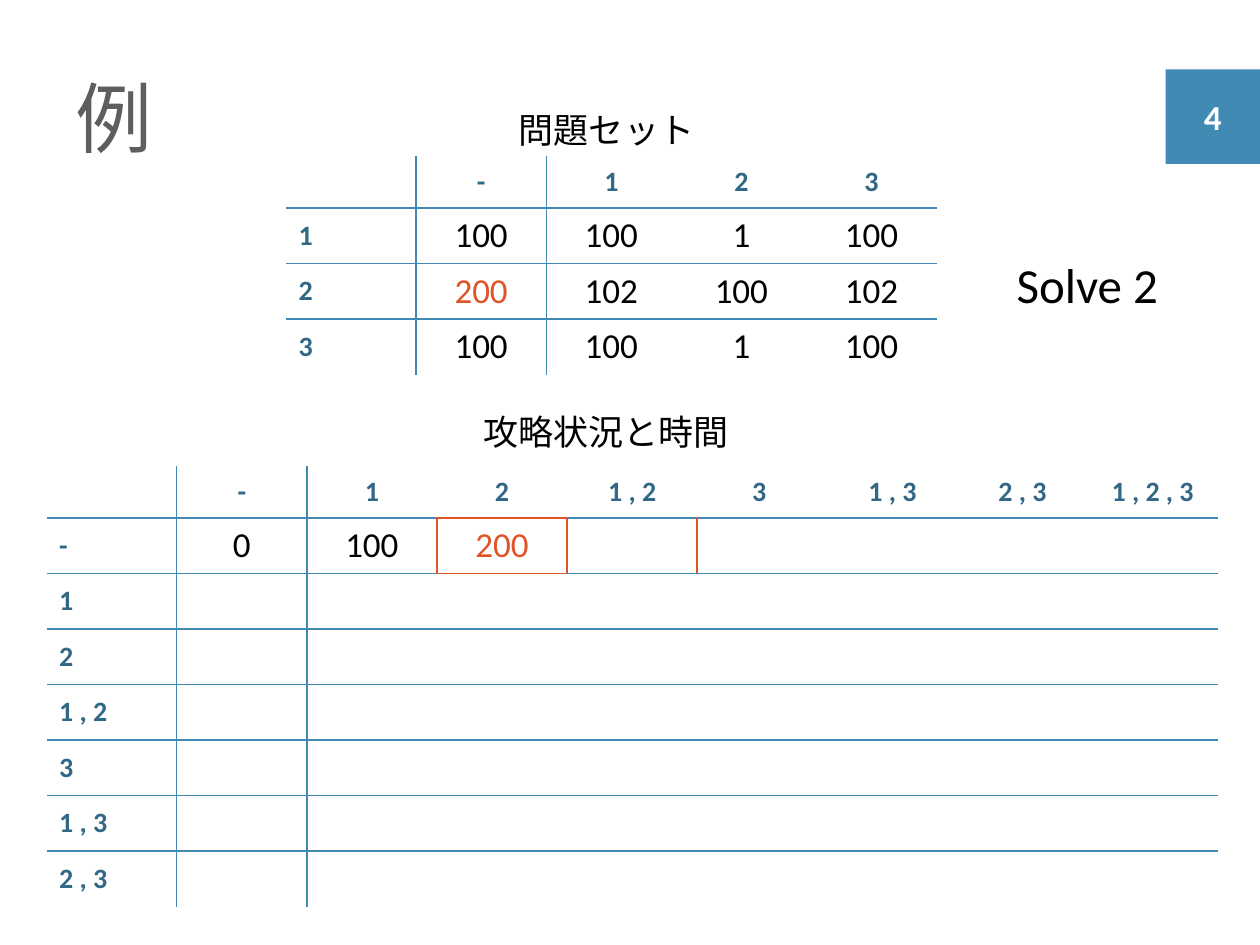
from dataclasses import dataclass

from lxml import etree
from pptx import Presentation
from pptx.dml.color import RGBColor
from pptx.enum.shapes import MSO_SHAPE
from pptx.enum.text import MSO_ANCHOR, MSO_AUTO_SIZE, PP_ALIGN
from pptx.oxml.ns import qn
from pptx.util import Inches, Pt

RECTANGLE = MSO_SHAPE.RECTANGLE
MIDDLE = MSO_ANCHOR.MIDDLE
LEFT, CENTER = PP_ALIGN.LEFT, PP_ALIGN.CENTER
GROW = MSO_AUTO_SIZE.SHAPE_TO_FIT_TEXT
PLAIN_TABLE_STYLE = "{2D5ABB26-0587-4C30-8999-92F81FD0307C}"


@dataclass(frozen=True)
class Theme:
    """Colours, type sizes and line width of the slide."""
    font: str = "Calibri"
    title: str = "5E5E5E"
    accent: str = "418AB3"
    label: str = "316886"
    text: str = "000000"
    highlight: str = "DF5327"
    white: str = "FFFFFF"
    title_size: int = 44
    note_size: int = 28
    body_size: int = 20
    label_size: int = 16
    rule_width: int = 1


THEME = Theme()
COLUMN_WIDTH = 1.033
HEADER_HEIGHT = 0.41
ROW_HEIGHT = 0.441


def write(frame, text, size, color, bold=False, align=LEFT):
    """Put one formatted paragraph into a text frame."""
    paragraph = frame.paragraphs[0]
    paragraph.text = text
    paragraph.alignment = align
    font = paragraph.font
    font.name, font.size, font.bold = THEME.font, Pt(size), bold
    font.color.rgb = RGBColor.from_string(color)
    return paragraph


def add_title(slide, left, top, width, height, text):
    """Move and format the title placeholder."""
    title = slide.shapes.title
    title.left, title.top = Inches(left), Inches(top)
    title.width, title.height = Inches(width), Inches(height)
    title.text_frame.vertical_anchor = MIDDLE
    paragraph = write(title.text_frame, text, THEME.title_size, THEME.title)
    paragraph.runs[0].font._element.set("spc", "-80")


def add_page_badge(slide, left, top, side, number):
    """Draw the square that carries the page number."""
    badge = slide.shapes.add_shape(
        RECTANGLE, Inches(left), Inches(top), Inches(side), Inches(side))
    badge.shadow.inherit = False
    badge.fill.solid()
    badge.fill.fore_color.rgb = RGBColor.from_string(THEME.accent)
    badge.line.fill.background()
    badge.text_frame.vertical_anchor = MIDDLE
    write(badge.text_frame, number, THEME.body_size, THEME.white, True, CENTER)


def add_caption(slide, left, top, width, height, text, size):
    """Add a one-line text box."""
    box = slide.shapes.add_textbox(
        Inches(left), Inches(top), Inches(width), Inches(height))
    box.text_frame.word_wrap = False
    box.text_frame.auto_size = GROW
    write(box.text_frame, text, size, THEME.text)


def draw_border(cell, tag, color):
    """Append one border line to a cell, or an empty one without a colour."""
    properties = cell._tc.get_or_add_tcPr()
    line = etree.SubElement(properties, qn(tag), w=str(Pt(THEME.rule_width)))
    if color is None:
        etree.SubElement(line, qn("a:noFill"))
        return
    fill = etree.SubElement(line, qn("a:solidFill"))
    etree.SubElement(fill, qn("a:srgbClr"), val=color)


def grid_edges(row_count, column_count, red_edges):
    """Map inner edges to colours: "h" lies above a cell, "v" left of it."""
    edges = {("h", r, c): THEME.accent
             for r in range(1, row_count) for c in range(column_count)}
    edges.update({("v", r, c): THEME.accent
                  for r in range(row_count) for c in (1, 2)})
    edges.update({edge: THEME.highlight for edge in red_edges})
    return edges


def add_grid(slide, left, top, columns, rows, values, red_cell, red_edges=()):
    """Add a table with header labels, row labels and values by row."""
    row_count, column_count = len(rows) + 1, len(columns) + 1
    height = HEADER_HEIGHT + ROW_HEIGHT * len(rows)
    table = slide.shapes.add_table(
        row_count, column_count, Inches(left), Inches(top),
        Inches(COLUMN_WIDTH * column_count), Inches(height)).table
    table.horz_banding = False
    table._tbl.tblPr.find(qn("a:tableStyleId")).text = PLAIN_TABLE_STYLE
    for column in table.columns:
        column.width = Inches(COLUMN_WIDTH)
    for r, row in enumerate(table.rows):
        row.height = Inches(ROW_HEIGHT if r else HEADER_HEIGHT)

    content = {(0, c): label for c, label in enumerate(columns, 1)}
    content.update({(r, 0): label for r, label in enumerate(rows, 1)})
    content.update({(r, c): value for r, line in enumerate(values, 1)
                    for c, value in enumerate(line, 1)})
    edges = grid_edges(row_count, column_count, red_edges)
    for r in range(row_count):
        for c in range(column_count):
            cell = table.cell(r, c)
            cell.vertical_anchor = MIDDLE
            for tag, edge in (("a:lnL", ("v", r, c)),
                              ("a:lnR", ("v", r, c + 1)),
                              ("a:lnT", ("h", r, c)),
                              ("a:lnB", ("h", r + 1, c))):
                draw_border(cell, tag, edges.get(edge))
            cell.fill.background()
            if (r, c) not in content:
                continue
            is_label = r == 0 or c == 0
            color = THEME.highlight if (r, c) == red_cell else THEME.text
            write(cell.text_frame, content[r, c],
                  THEME.label_size if is_label else THEME.body_size,
                  THEME.label if is_label else color,
                  is_label, CENTER if c else LEFT)


def build_example_slide(presentation):
    """Build the slide with the problem set and the progress table."""
    slide = presentation.slides.add_slide(presentation.slide_layouts[5])
    add_page_badge(slide, 9.25, 0.55, 0.75, "4")
    add_title(slide, 0.5, 0.3, 9.29, 1.25, "例")
    states = ["-", "1", "2", "1 , 2", "3", "1 , 3", "2 , 3"]
    add_grid(slide, 0.37, 3.7,
             states[:4] + ["3 "] + states[5:] + ["1 , 2 , 3"], states,
             [["0", "100", "200"]], red_cell=(1, 3),
             red_edges=[("v", 1, 3), ("v", 1, 4), ("v", 1, 5),
                        ("h", 1, 3), ("h", 2, 3)])
    add_grid(slide, 2.27, 1.24, ["-", "1", "2", "3"], ["1", "2", "3"],
             [["100", "100", "1", "100"],
              ["200", "102", "100", "102"],
              ["100", "100", "1", "100"]], red_cell=(2, 1))
    add_caption(slide, 4.02, 0.81, 1.6, 0.44, "問題セット", THEME.body_size)
    add_caption(slide, 3.74, 3.21, 2.17, 0.44, "攻略状況と時間", THEME.body_size)
    add_caption(slide, 7.97, 1.97, 1.48, 0.57, "Solve 2", THEME.note_size)


deck = Presentation()
deck.slide_width, deck.slide_height = Inches(10), Inches(7.5)
build_example_slide(deck)
deck.save("out.pptx")
